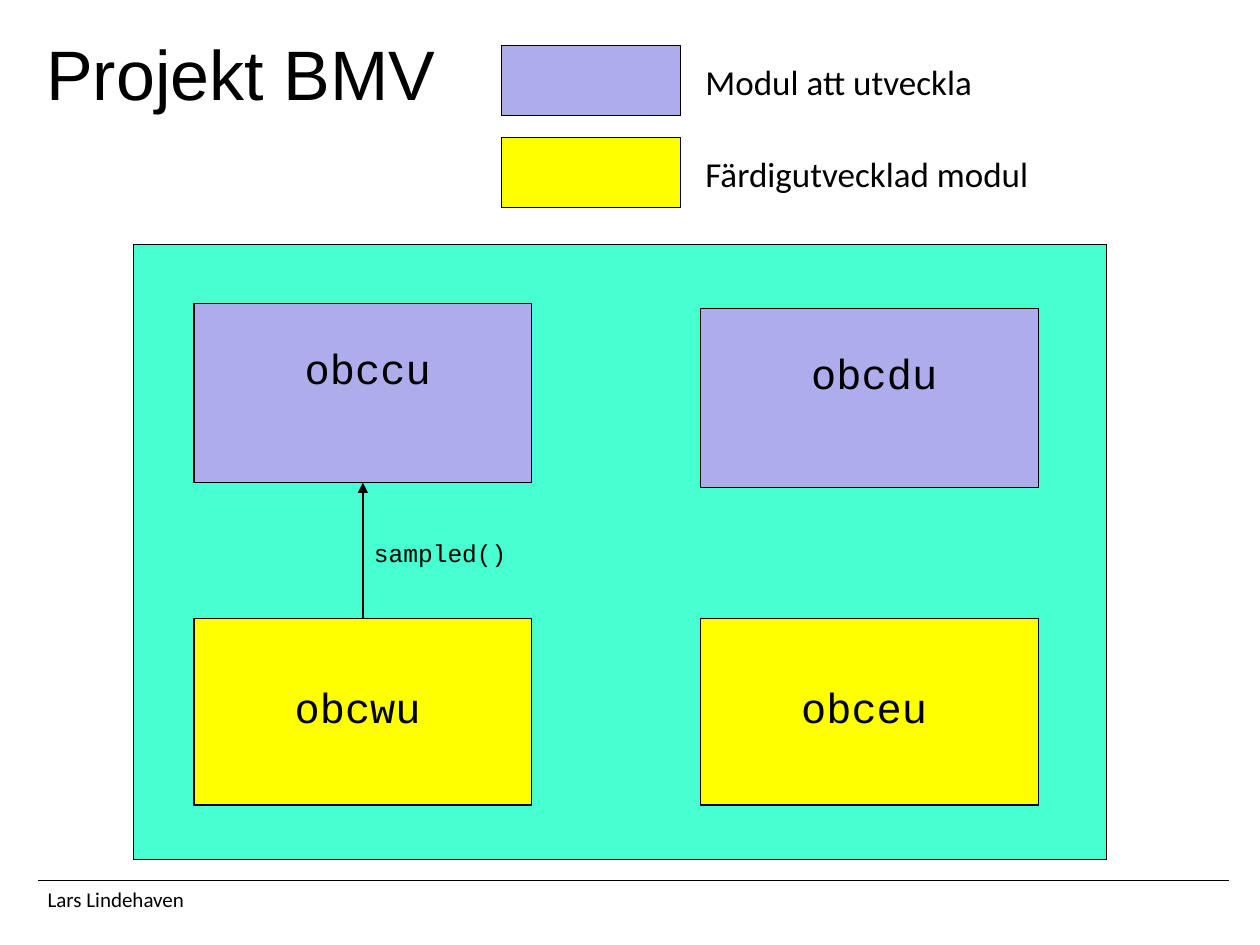
from dataclasses import dataclass
from lxml.etree import SubElement
from pptx import Presentation
from pptx.dml.color import RGBColor
from pptx.enum.shapes import MSO_CONNECTOR as Conn, MSO_SHAPE as Shape
from pptx.enum.text import MSO_AUTO_SIZE as Fit, PP_ALIGN as Align
from pptx.oxml.ns import qn
from pptx.util import Inches, Pt

BLACK, MINT, LILAC, YELLOW = "000000", "47FFD1", "ADADEB", "FFFF00"
CODE, BODY, HEAD = "Courier New", "Calibri", "Arial"


@dataclass
class Kind:
    fill: str
    high: float
    dx: float
    dy: float


@dataclass
class Module:
    name: str
    left: float
    top: float
    kind: Kind


@dataclass
class Key:
    text: str
    top: float
    fill: str
    wide: float


TODO = Kind(LILAC, 1.42, 0.78, 0.26)
DONE = Kind(YELLOW, 1.48, 0.7, 0.45)
MODULES = [
    Module("obccu", 1.54, 2.41, TODO),
    Module("obcwu", 1.54, 4.91, DONE),
    Module("obceu", 5.56, 4.91, DONE),
    Module("obcdu", 5.56, 2.45, TODO),
]
KEYS = [
    Key("Modul att utveckla", 0.36, LILAC, 2.41),
    Key("Färdigutvecklad modul", 1.09, YELLOW, 2.8),
]

prs = Presentation()
prs.slide_width, prs.slide_height = Inches(10), Inches(7.5)
slide = prs.slides.add_slide(prs.slide_layouts[6])
shapes = slide.shapes


def color(code: str) -> RGBColor:
    return RGBColor.from_string(code)


def add_box(left: float, top: float, wide: float, high: float, fill: str) -> None:
    box = shapes.add_shape(Shape.FLOWCHART_PROCESS, Inches(left), Inches(top),
                           Inches(wide), Inches(high))
    box.shadow.inherit = False
    box.fill.solid()
    box.fill.fore_color.rgb = color(fill)
    box.line.color.rgb = color(BLACK)
    box.line.width = Pt(0.75)


def add_text(text: str, left: float, top: float, wide: float, high: float,
             size: int, face: str, wrap: bool = True,
             align: Align = Align.LEFT) -> None:
    frame = shapes.add_textbox(Inches(left), Inches(top),
                               Inches(wide), Inches(high)).text_frame
    frame.word_wrap = wrap
    frame.auto_size = Fit.SHAPE_TO_FIT_TEXT
    para = frame.paragraphs[0]
    para.alignment = align
    run = para.add_run()
    run.text = text
    for key, value in {"name": face, "size": Pt(size)}.items():
        setattr(run.font, key, value)
    run.font.color.rgb = color(BLACK)


def add_line(x1: float, y1: float, x2: float, y2: float, arrow: bool = False) -> None:
    line = shapes.add_connector(Conn.STRAIGHT, Inches(x1), Inches(y1),
                                Inches(x2), Inches(y2))
    line.line.color.rgb = color(BLACK)
    line.line.width = Pt(0.75)
    if arrow:
        SubElement(line.line._get_or_add_ln(), qn("a:tailEnd"), type="triangle")
    SubElement(line._element.spPr, qn("a:effectLst"))


# Title and legend
add_text("Projekt BMV", 0.25, 0.19, 3.32, 0.77, 40, HEAD, False, Align.CENTER)
for key in KEYS:
    add_box(3.98, key.top, 1.42, 0.56, key.fill)
    add_text(key.text, 5.5, key.top + 0.07, key.wide, 0.44, 20, BODY)

# Modules on the system panel
add_box(1.06, 1.94, 7.72, 4.88, MINT)
for mod in MODULES:
    kind = mod.kind
    add_box(mod.left, mod.top, 2.68, kind.high, kind.fill)
    add_text(mod.name, mod.left + kind.dx, mod.top + kind.dy, 1.26, 0.5, 24, CODE)

# Call from obcwu to obccu
add_line(2.88, 4.91, 2.88, 3.83, arrow=True)
add_text("sampled()", 2.87, 4.22, 1.26, 0.34, 14, CODE)

# Footer
add_line(0.3, 6.99, 9.75, 6.99)
add_text("Lars Lindehaven", 0.28, 6.99, 1.29, 0.3, 12, BODY, False)

prs.save("out.pptx")
